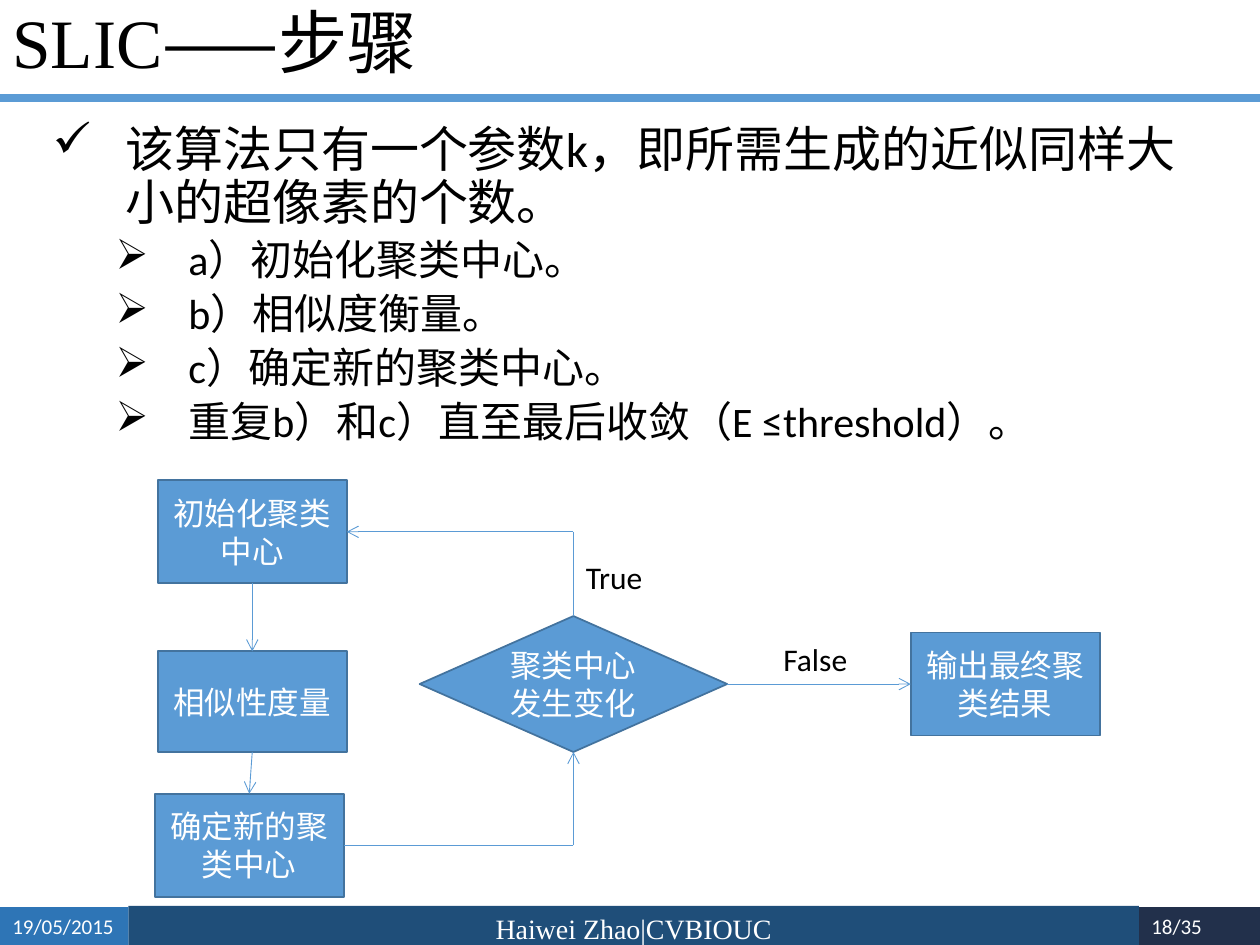
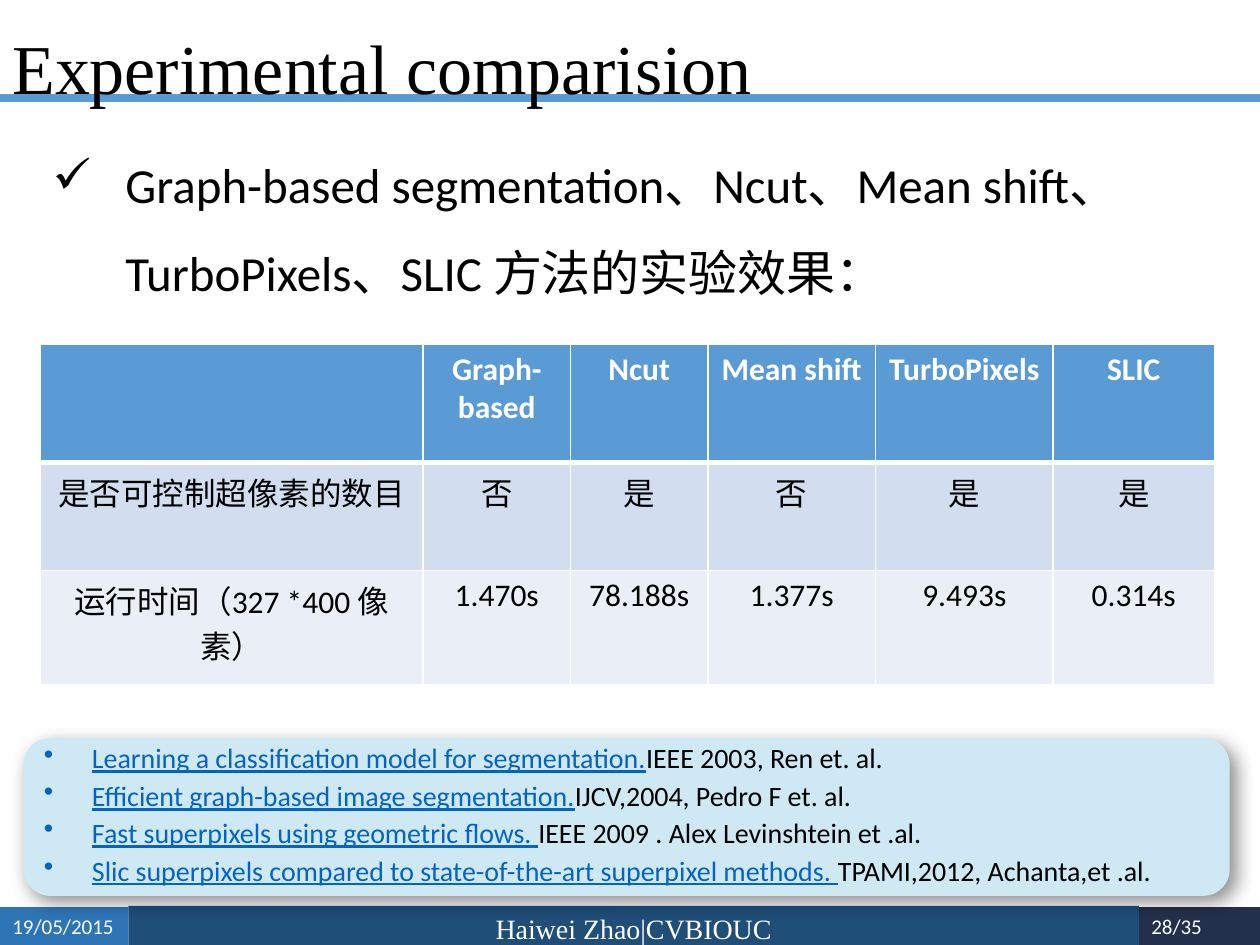
from lxml import etree
from pptx import Presentation
from pptx.dml.color import RGBColor
from pptx.enum.shapes import MSO_CONNECTOR, MSO_SHAPE
from pptx.enum.text import MSO_ANCHOR, PP_ALIGN
from pptx.oxml.ns import qn
from pptx.util import Cm, Pt

RECTANGLE = MSO_SHAPE.RECTANGLE
DIAMOND = MSO_SHAPE.DIAMOND
ROUNDED = MSO_SHAPE.ROUNDED_RECTANGLE
STRAIGHT = MSO_CONNECTOR.STRAIGHT
LEFT, CENTER, RIGHT, JUSTIFY = PP_ALIGN.LEFT, PP_ALIGN.CENTER, PP_ALIGN.RIGHT, PP_ALIGN.JUSTIFY
TOP_ANCHOR, MIDDLE = MSO_ANCHOR.TOP, MSO_ANCHOR.MIDDLE
TOP, LEFT_SIDE, BOTTOM, RIGHT_SIDE = range(4)

BLACK = RGBColor(0x00, 0x00, 0x00)
WHITE = RGBColor(0xFF, 0xFF, 0xFF)
BLUE = RGBColor(0x5B, 0x9B, 0xD5)
BOX_EDGE = RGBColor(0x43, 0x73, 0x9E)
DATE_BLUE = RGBColor(0x2E, 0x75, 0xB6)
FOOTER_BLUE = RGBColor(0x1F, 0x4E, 0x79)
PAGE_NAVY = RGBColor(0x22, 0x30, 0x4B)
LINK_BLUE = RGBColor(0x05, 0x63, 0xC1)
REFERENCE_FILL = RGBColor(0xCF, 0xE9, 0xF4)
ROW_FILLS = [BLUE, RGBColor(0xD2, 0xDE, 0xEF), RGBColor(0xEA, 0xEF, 0xF7)]

BODY_FONT = "Calibri"
TITLE_FONT = "Times New Roman"
CHINESE_FONT = "Noto Sans CJK SC"


def add_box(slide, kind, left, top, width, height, fill=None, edge=None, anchor=TOP_ANCHOR):
    """Add a preset shape, or a text box when kind is None; lengths in cm."""
    place = Cm(left), Cm(top), Cm(width), Cm(height)
    if kind is None:
        shape = slide.shapes.add_textbox(*place)
    else:
        shape = slide.shapes.add_shape(kind, *place)
        shape.shadow.inherit = False
        shape.fill.solid()
        shape.fill.fore_color.rgb = fill
        if edge is None:
            shape.line.fill.background()
        else:
            shape.line.color.rgb = edge
            shape.line.width = Pt(1)
    shape.text_frame.word_wrap = True
    shape.text_frame.vertical_anchor = anchor
    return shape


def write(paragraph, text, size, color=BLACK, font=BODY_FONT, align=LEFT, bold=False,
          underline=False, bullet=None, indent=0, hanging=0):
    """Append one run; a bullet is set up along with its indents in cm."""
    paragraph.alignment = align
    if bullet:
        properties = paragraph._p.get_or_add_pPr()
        properties.set("marL", str(Cm(indent)))
        properties.set("indent", str(-Cm(hanging)))
        etree.SubElement(properties, qn("a:buChar")).set("char", bullet)
    run = paragraph.add_run()
    run.text = text
    run.font.size = Pt(size)
    run.font.bold = bold
    run.font.underline = underline
    run.font.color.rgb = color
    run.font.name = font
    etree.SubElement(run._r.get_or_add_rPr(), qn("a:ea")).set("typeface", CHINESE_FONT)


presentation = Presentation()
presentation.slide_width = Cm(25.4)
presentation.slide_height = Cm(19.05)

# Shared footer, title rule, title and body box
pages = [
    ("18/35", 0.9, 39.6, [("SLIC", TITLE_FONT), ("——步骤", CHINESE_FONT)]),
    ("28/35", 1.5, 40, [("Experimental comparision", TITLE_FONT)]),
]
slides, bodies = [], []
for page_number, spacing, title_size, title_runs in pages:
    slide = presentation.slides.add_slide(presentation.slide_layouts[6])
    add_box(slide, RECTANGLE, 22.96, 18.29, 2.44, 0.76, PAGE_NAVY)
    footer = add_box(slide, RECTANGLE, 2.59, 18.26, 20.37, 0.94, FOOTER_BLUE)
    write(footer.text_frame.paragraphs[0], "Haiwei Zhao|CVBIOUC", 16, WHITE, TITLE_FONT, CENTER)
    date = add_box(slide, RECTANGLE, 0, 18.29, 2.59, 0.76, DATE_BLUE)
    write(date.text_frame.paragraphs[0], "19/05/2015", 12, WHITE)
    page = add_box(slide, None, 22.6, 18.29, 1.88, 0.76)
    write(page.text_frame.paragraphs[0], page_number, 12, WHITE, align=RIGHT)

    rule = slide.shapes.add_connector(STRAIGHT, 0, Cm(1.98), Cm(25.4), Cm(1.98))
    rule.line.color.rgb = BLUE
    rule.line.width = Pt(4.5)
    etree.SubElement(rule._element.spPr, qn("a:effectLst"))

    # The second title hangs over the rule, so its box has no fill to hide it
    title = add_box(slide, RECTANGLE, 0, 0, 23.27, 1.85, WHITE, anchor=MIDDLE)
    paragraph = title.text_frame.paragraphs[0]
    paragraph.line_spacing = spacing
    for text, font in title_runs:
        write(paragraph, text, title_size, font=font)

    body = add_box(slide, None, 0.81, 2.39, 23.65, 14.76)
    body.text_frame.paragraphs[0].line_spacing = spacing
    slides.append(slide)
    bodies.append(body.text_frame)
steps_slide, comparison_slide = slides
steps_body, comparison_body = bodies

# Steps of the algorithm
write(steps_body.paragraphs[0], "该算法只有一个参数k，即所需生成的近似同样大小的超像素的个数。",
      28, bullet="✓", indent=1.47, hanging=1.47)
steps = ["a）初始化聚类中心。", "b）相似度衡量。", "c）确定新的聚类中心。",
         "重复b）和c）直至最后收敛（E ≤threshold）。"]
for step in steps:
    paragraph = steps_body.add_paragraph()
    paragraph.line_spacing = 0.9
    paragraph.space_before = Pt(5)
    write(paragraph, step, 24, bullet="➢", indent=2.74, hanging=1.47)

# Flowchart boxes
flow_boxes = []
for kind, left, top, width, height, text in [
    (RECTANGLE, 3.18, 9.68, 3.81, 2.08, "初始化聚类中心"),
    (RECTANGLE, 3.18, 13.13, 3.81, 2.03, "相似性度量"),
    (RECTANGLE, 3.12, 16, 3.81, 2.08, "确定新的聚类中心"),
    (DIAMOND, 8.46, 12.42, 6.2, 2.74, "聚类中心发生变化"),
    (RECTANGLE, 18.36, 12.75, 3.81, 2.08, "输出最终聚类结果"),
]:
    box = add_box(steps_slide, kind, left, top, width, height, BLUE, BOX_EDGE, MIDDLE)
    write(box.text_frame.paragraphs[0], text, 18, WHITE, align=CENTER)
    flow_boxes.append(box)
initialise, measure, update, changed, output = flow_boxes

# Flowchart lines: an end without a box stays at the corner
lower_corner = (11.56, 17.04)
upper_corner = (11.56, 10.72)
for begin, corner, end, arrow in [
    ((initialise, BOTTOM), (0, 0), (measure, TOP), True),
    ((measure, BOTTOM), (0, 0), (update, TOP), True),
    ((update, RIGHT_SIDE), lower_corner, None, False),
    (None, lower_corner, (changed, BOTTOM), True),
    ((changed, TOP), upper_corner, None, False),
    (None, upper_corner, (initialise, RIGHT_SIDE), True),
    ((changed, RIGHT_SIDE), (0, 0), (output, LEFT_SIDE), True),
]:
    x, y = Cm(corner[0]), Cm(corner[1])
    connector = steps_slide.shapes.add_connector(STRAIGHT, x, y, x, y)
    if begin:
        connector.begin_connect(*begin)
    if end:
        connector.end_connect(*end)
    connector.line.color.rgb = BLUE
    connector.line.width = Pt(0.5)
    if arrow:
        etree.SubElement(connector.line._get_or_add_ln(), qn("a:tailEnd")).set("type", "arrow")
    etree.SubElement(connector._element.spPr, qn("a:effectLst"))

# Branch labels
for left, top, width, text, align in [(11.56, 11.13, 1.9, "True", LEFT),
                                      (14.66, 12.78, 2.67, "False", RIGHT)]:
    label = add_box(steps_slide, None, left, top, width, 1.02)
    write(label.text_frame.paragraphs[0], text, 18, align=align)

# Compared methods
write(comparison_body.paragraphs[0],
      "Graph-based segmentation、Ncut、Mean shift、TurboPixels、SLIC 方法的实验效果：",
      28, bullet="✓", indent=1.47, hanging=1.47)

# References
references = add_box(comparison_slide, ROUNDED, 0.48, 14.88, 24.31, 3.18, REFERENCE_FILL,
                     anchor=MIDDLE)
effects = references._element.spPr.find(qn("a:effectLst"))
shadow = etree.SubElement(effects, qn("a:outerShdw"), blurRad=str(Pt(10)), dist=str(Pt(4)),
                          dir="2700000", algn="tl", rotWithShape="0")
shadow_color = etree.SubElement(shadow, qn("a:srgbClr"), val="000000")
etree.SubElement(shadow_color, qn("a:alpha"), val="43000")
citations = [
    ("Learning a classification model for segmentation.", "IEEE 2003, Ren et. al."),
    ("Efficient graph-based image segmentation.", "IJCV,2004, Pedro F et. al."),
    ("Fast superpixels using geometric flows. ", "IEEE 2009 . Alex Levinshtein et .al."),
    ("Slic superpixels compared to state-of-the-art superpixel methods. ",
     "TPAMI,2012, Achanta,et .al."),
]
for index, (paper, source) in enumerate(citations):
    frame = references.text_frame
    paragraph = frame.add_paragraph() if index else frame.paragraphs[0]
    paragraph.line_spacing = 0.8
    paragraph.space_before = Pt(3 if index else 0)
    paragraph.space_after = Pt(3)
    write(paragraph, paper, 16, LINK_BLUE, align=JUSTIFY, underline=True,
          bullet="•", indent=0.97, hanging=0.97)
    write(paragraph, source, 16, align=JUSTIFY)

# Comparison table
rows = [
    ["", "Graph-based", "Ncut", "Mean shift", "TurboPixels", "SLIC"],
    ["是否可控制超像素的数目", "否", "是", "否", "是", "是"],
    ["运行时间（327 *400 像素）", "1.470s", "78.188s", "1.377s", "9.493s", "0.314s"],
]
column_widths = [7.72, 2.97, 2.77, 3.38, 3.58, 3.25]
row_heights = [2.39, 2.18, 2.31]
table = comparison_slide.shapes.add_table(
    len(rows), len(column_widths), Cm(0.81), Cm(6.93),
    Cm(sum(column_widths)), Cm(sum(row_heights))).table
table.horz_banding = False
for column, width in zip(table.columns, column_widths):
    column.width = Cm(width)
for row_index, values in enumerate(rows):
    table.rows[row_index].height = Cm(row_heights[row_index])
    header = row_index == 0
    for column_index, value in enumerate(values):
        cell = table.cell(row_index, column_index)
        properties = cell._tc.get_or_add_tcPr()
        for side in ("lnL", "lnR", "lnT", "lnB"):
            thick = (side == "lnB" and header) or (side == "lnT" and row_index == 1)
            border = etree.SubElement(properties, qn("a:" + side), w=str(Pt(3 if thick else 1)))
            border_fill = etree.SubElement(border, qn("a:solidFill"))
            etree.SubElement(border_fill, qn("a:srgbClr"), val=str(WHITE))
        cell.fill.solid()
        cell.fill.fore_color.rgb = ROW_FILLS[row_index]
        if value:
            write(cell.text_frame.paragraphs[0], value, 18, WHITE if header else BLACK,
                  align=CENTER, bold=header)

presentation.save("out.pptx")
